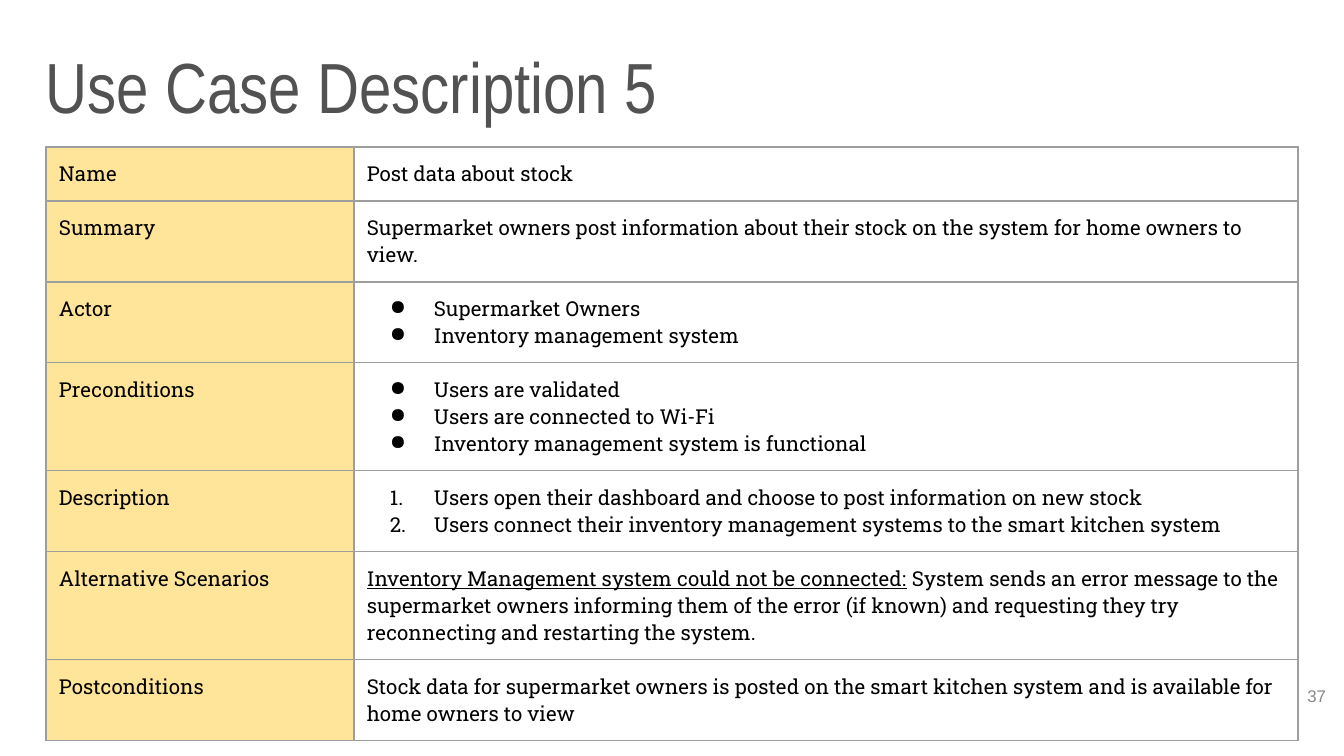
from dataclasses import dataclass

from lxml import etree
from pptx import Presentation
from pptx.dml.color import RGBColor
from pptx.enum.text import MSO_ANCHOR, PP_ALIGN
from pptx.oxml.ns import qn
from pptx.util import Pt

PX = 914400 / 134.4
TOP, BOTTOM = MSO_ANCHOR.TOP, MSO_ANCHOR.BOTTOM
LEFT, RIGHT = PP_ALIGN.LEFT, PP_ALIGN.RIGHT
LINE = 27  # height of one text line; each row adds one more as padding
PAD = 13
EDGE, LABEL = "9E9E9E", "FFE599"
BODY = {"name": "Roboto Slab", "size": Pt(11)}
BLACK = "000000"
DOT = ("a:buChar", {"char": "●"})
COUNT = ("a:buAutoNum", {"type": "arabicPeriod"})


@dataclass
class Row:
    label: str
    items: list[str]
    lines: int
    mark: tuple | None = None
    lead: str = ""


ROWS = [
    Row("Name", ["Post data about stock"], 1),
    Row("Summary", ["Supermarket owners post information about their stock on "
                    "the system for home owners to view."], 2),
    Row("Actor", ["Supermarket Owners", "Inventory management system"], 2, DOT),
    Row("Preconditions", ["Users are validated", "Users are connected to Wi-Fi",
                          "Inventory management system is functional"], 3, DOT),
    Row("Description", [
        "Users open their dashboard and choose to post information on new stock",
        "Users connect their inventory management systems to the smart kitchen "
        "system"], 2, COUNT),
    Row("Alternative Scenarios", [
        " System sends an error message to the supermarket owners informing them "
        "of the error (if known) and requesting they try reconnecting and "
        "restarting the system."], 3,
        lead="Inventory Management system could not be connected:"),
    Row("Postconditions", [
        "Stock data for supermarket owners is posted on the smart kitchen system "
        "and is available for home owners to view"], 2),
]


def px(n: int) -> int:
    return round(n * PX)


def color(code: str) -> RGBColor:
    return RGBColor.from_string(code)


def add_run(para, text: str, style: dict, code: str) -> None:
    run = para.add_run()
    run.text = text
    for key, value in style.items():
        setattr(run.font, key, value)
    run.font.color.rgb = color(code)


def add_fill(parent, tag: str, code: str) -> None:
    """Append a colour element, such as a:solidFill or a:buClr."""
    node = etree.SubElement(parent, qn(tag))
    etree.SubElement(node, qn("a:srgbClr"), val=code)


def add_mark(para, mark: tuple) -> None:
    """Give a paragraph a bullet or number with a hanging indent."""
    props = para._p.get_or_add_pPr()
    props.set("marL", str(px(67)))
    props.set("indent", str(px(-44)))
    add_fill(props, "a:buClr", BLACK)
    tag, attrs = mark
    etree.SubElement(props, qn(tag), attrs)


def add_edges(cell) -> None:
    props = cell._tc.get_or_add_tcPr()
    for spot, side in enumerate("LRTB"):
        line = etree.Element(qn(f"a:ln{side}"), w=str(Pt(0.75)))
        add_fill(line, "a:solidFill", EDGE)
        props.insert(spot, line)


def fill_cell(cell, items: list[str], mark: tuple | None = None,
              lead: str = "", fill: str = "") -> None:
    for side in ("left", "right", "top", "bottom"):
        setattr(cell, f"margin_{side}", px(PAD))
    frame = cell.text_frame
    for i, item in enumerate(items):
        para = frame.add_paragraph() if i else frame.paragraphs[0]
        if mark:
            add_mark(para, mark)
        if lead:
            add_run(para, lead, BODY | {"underline": True}, BLACK)
        add_run(para, item, BODY, BLACK)
    if fill:
        cell.fill.solid()
        cell.fill.fore_color.rgb = color(fill)
    else:
        cell.fill.background()
    add_edges(cell)


def add_text(slide, box: tuple, text: str, style: dict, code: str,
             anchor, align) -> None:
    frame = slide.shapes.add_textbox(*map(px, box)).text_frame
    form = {"word_wrap": True, "vertical_anchor": anchor, "margin_left": 0,
            "margin_right": 0, "margin_top": 0, "margin_bottom": 0}
    for key, value in form.items():
        setattr(frame, key, value)
    para = frame.paragraphs[0]
    para.alignment = align
    add_run(para, text, style, code)


def add_grid(slide, left: int, top: int, widths: tuple) -> None:
    highs = [LINE * (row.lines + 1) for row in ROWS]
    box = (left, top, sum(widths), sum(highs))
    table = slide.shapes.add_table(len(ROWS), len(widths), *map(px, box)).table
    table.first_row = table.horz_banding = False
    for col, width in zip(table.columns, widths):
        col.width = px(width)
    for i, (row, high) in enumerate(zip(ROWS, highs)):
        table.rows[i].height = px(high)
        fill_cell(table.cell(i, 0), [row.label], fill=LABEL)
        fill_cell(table.cell(i, 1), row.items, row.mark, row.lead)


def main() -> None:
    deck = Presentation()
    deck.slide_width, deck.slide_height = px(1344), px(756)
    slide = deck.slides.add_slide(deck.slide_layouts[6])
    add_text(slide, (46, 43, 1253, 85), "Use Case Description 5",
             {"name": "Arial Narrow", "size": Pt(38)}, "525252", BOTTOM, LEFT)
    add_grid(slide, 46, 147, (308, 944))
    add_text(slide, (1246, 686, 80, 58), "37",
             {"name": "Arial", "size": Pt(9)}, "888888", TOP, RIGHT)
    deck.save("out.pptx")


if __name__ == "__main__":
    main()
